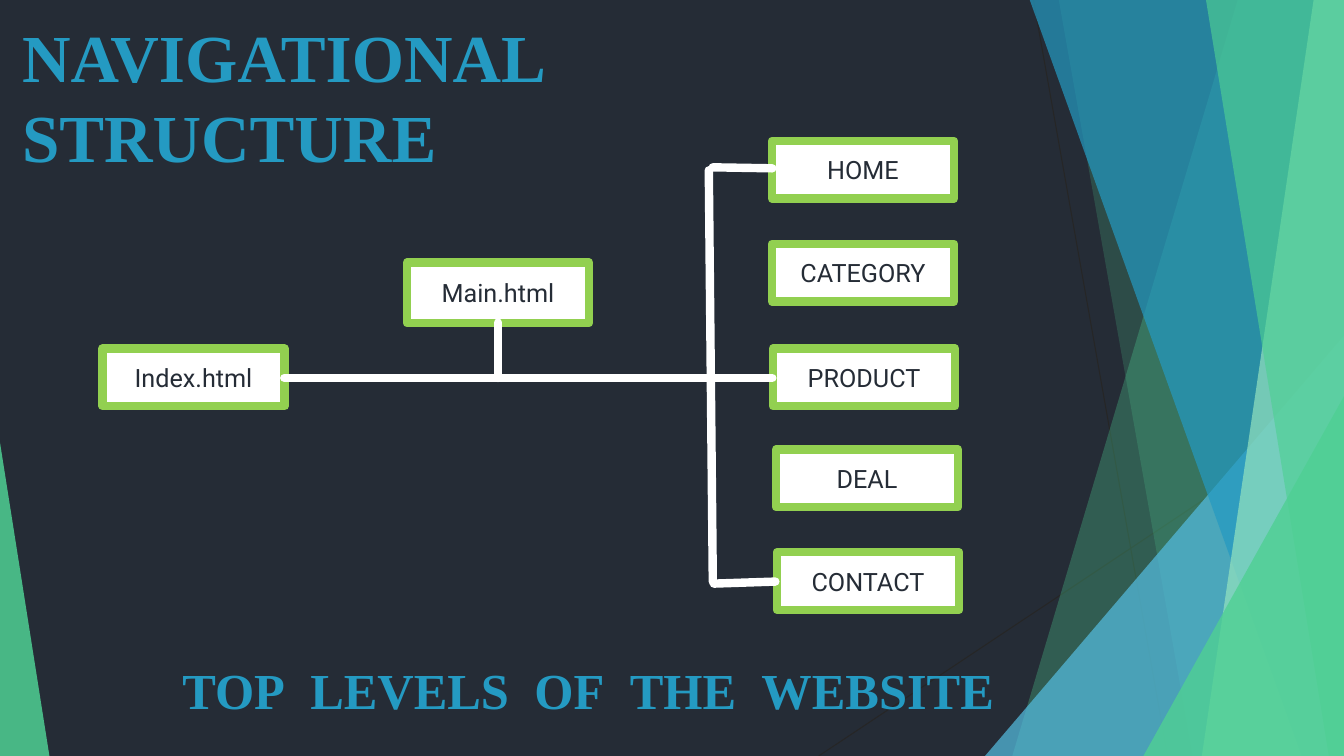
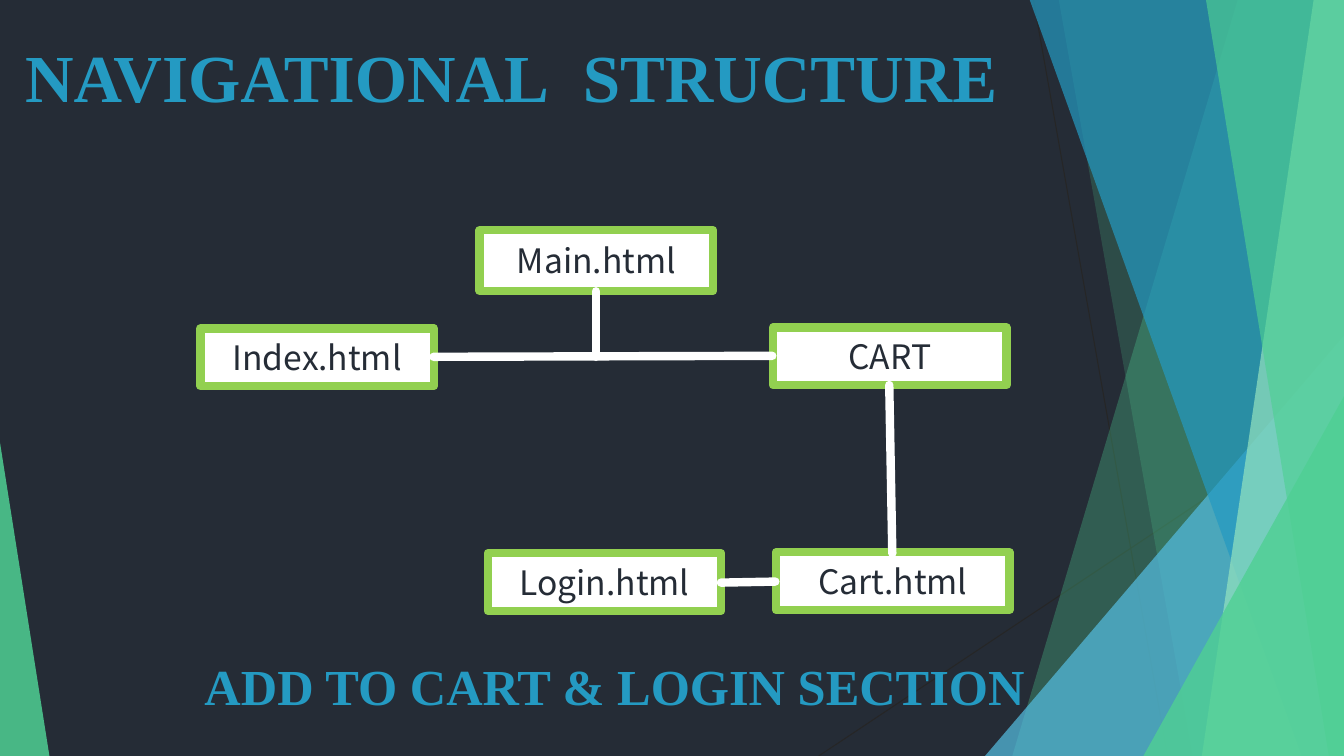
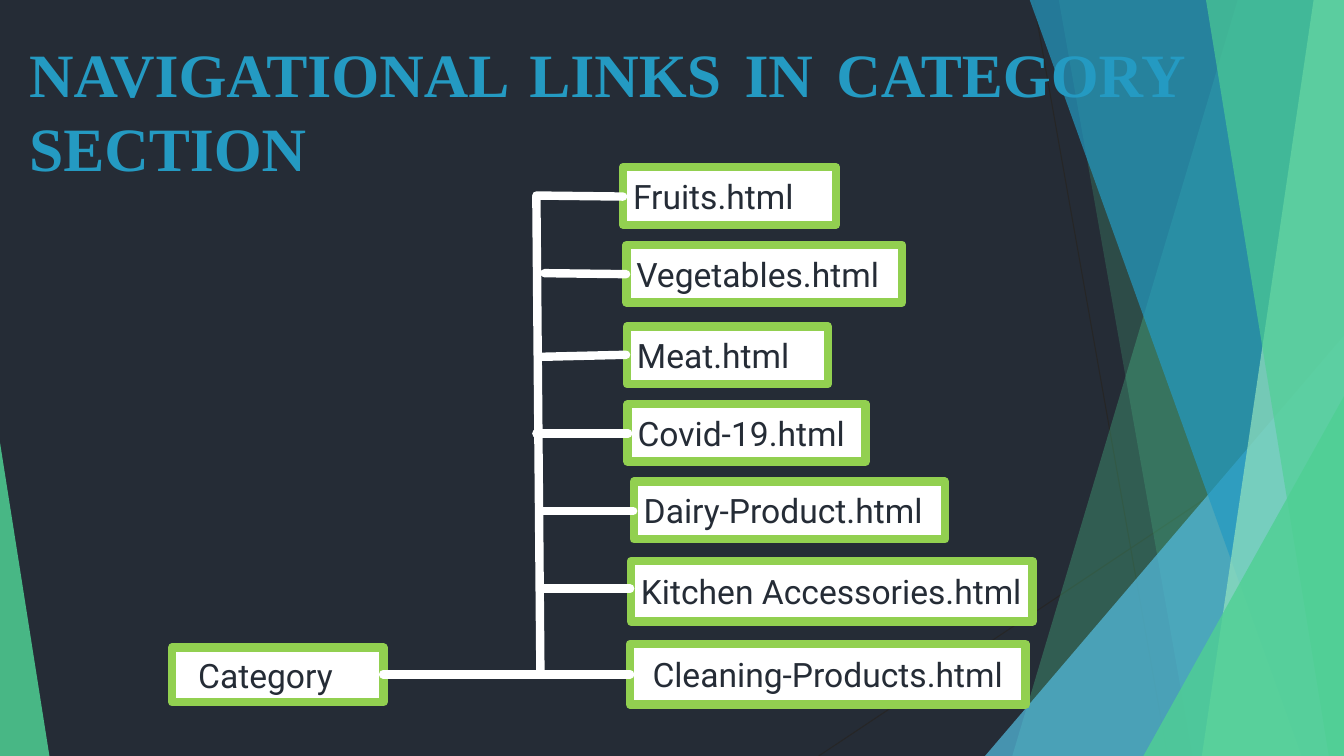
from dataclasses import dataclass

from lxml.etree import SubElement
from pptx import Presentation
from pptx.dml.color import RGBColor
from pptx.enum.shapes import MSO_CONNECTOR, MSO_SHAPE as Preset
from pptx.enum.text import MSO_ANCHOR as Anchor, MSO_AUTO_SIZE as AutoSize, PP_ALIGN as Align
from pptx.oxml.ns import qn
from pptx.util import Pt

PX = 9144  # EMU in one px, 100 px to the inch
WIDTH, HEIGHT = 1333, 750


@dataclass(frozen=True)
class Theme:
    night: str = "252C36"
    white: str = "FFFFFF"
    lime: str = "92D050"
    blue: str = "249AC2"
    sky: str = "54BCDF"
    green: str = "4FD093"
    mint: str = "95E3BE"
    hairline: str = "262626"
    heading_font: str = "Times New Roman"
    node_font: str = "Roboto"
    cart_font: str = "Noto Sans CJK TC"
    title_size: int = 48
    long_title_size: int = 44
    caption_size: int = 36
    node_size: int = 24
    small_node_size: int = 18
    stroke: float = 6
    thin_stroke: float = 0.75
    outline: float = 1.75


THEME = Theme()

# Translucent panels: outline points, colour, opacity in percent
PANELS_BACK = [
    ([(1228, -1), (1333, -1), (1333, 750), (1004, 750)], THEME.green, 30),
    ([(1050, -1), (1333, -1), (1333, 750), (1183, 750)], THEME.green, 20),
]
PANELS_FRONT = [
    ([(1021, -1), (1333, -1), (1333, 750), (1291, 750)], THEME.blue, 70),
    ([(1303, -1), (1333, -1), (1333, 750), (1192, 750)], THEME.mint, 70),
    ([(1196, -1), (1333, -1), (1333, 750), (1318, 750)], THEME.green, 65),
]


def rgb(value):
    return RGBColor.from_string(value)


def write(frame, text, *, size, font, color, bold=False, outline=None,
          align=Align.LEFT, wide_gaps=False, indent=0):
    """Fill the first paragraph; wide_gaps doubles the space between words."""
    para = frame.paragraphs[0]
    para.alignment = align
    if indent:
        para._p.get_or_add_pPr().set("marL", str(indent * PX))
    pieces = text.replace(" ", "| |").split("|") if wide_gaps else [text]
    for piece in pieces:
        span = para.add_run()
        span.text = piece
        span.font.size, span.font.name, span.font.bold = Pt(size), font, bold
        span.font.color.rgb = rgb(color)
        props = span._r.get_or_add_rPr()
        if piece == " ":
            props.set("spc", str(size * 25))
        if outline:
            edge = SubElement(props, qn("a:ln"), w=str(Pt(THEME.outline)))
            paint = SubElement(edge, qn("a:solidFill"))
            SubElement(paint, qn("a:srgbClr"), val=outline)
            props.insert(0, edge)


class Sketch:
    """Holds the deck, its style and the page being drawn."""

    def __init__(self, theme):
        self.theme = theme
        self.deck = Presentation()
        self.deck.slide_width, self.deck.slide_height = WIDTH * PX, HEIGHT * PX
        backdrop = self.deck.slide_master.background.fill
        backdrop.solid()
        backdrop.fore_color.rgb = rgb(theme.night)

    def new_page(self):
        self.shapes = self.deck.slides.add_slide(self.deck.slide_layouts[6]).shapes
        self.decorate()

    def decorate(self):
        look = self.theme
        for ends in [(1025, 0, 1158, 750), (1333, 403, 812, 750)]:
            self.line(*ends, color=look.hairline, weight=look.thin_stroke)
        for panel in PANELS_BACK:
            self.panel(*panel)
        self.triangle(977, 333, 356, 417, 1, look.sky, 72)
        for panel in PANELS_FRONT:
            self.panel(*panel)
        self.triangle(1134, 393, 199, 357, 1, look.green, 80)
        self.triangle(0, 439, 49, 311, 0, look.green, 85)

    def paint(self, shape, color, opacity=100):
        shape.shadow.inherit = False
        shape.fill.solid()
        shape.fill.fore_color.rgb = rgb(color)
        if opacity < 100:
            shape.line.fill.background()
            tint = shape._element.spPr.find(qn("a:solidFill"))[0]
            SubElement(tint, qn("a:alpha"), val=str(opacity * 1000))

    def panel(self, points, color, opacity):
        start, *others = [(x * PX, y * PX) for x, y in points]
        builder = self.shapes.build_freeform(*start)
        builder.add_line_segments(others, close=True)
        self.paint(builder.convert_to_shape(), color, opacity)

    def preset(self, kind, *place):
        return self.shapes.add_shape(kind, *(length * PX for length in place))

    def triangle(self, left, top, width, height, peak, color, opacity):
        shape = self.preset(Preset.ISOSCELES_TRIANGLE, left, top, width, height)
        shape.adjustments[0] = peak
        self.paint(shape, color, opacity)

    def line(self, x1, y1, x2, y2, color=None, weight=None):
        link = self.shapes.add_connector(
            MSO_CONNECTOR.STRAIGHT, x1 * PX, y1 * PX, x2 * PX, y2 * PX)
        link.line.color.rgb = rgb(color or self.theme.white)
        link.line.width = Pt(weight or self.theme.stroke)
        link.line._get_or_add_ln().set("cap", "rnd")
        SubElement(link._element.spPr, qn("a:effectLst"))

    def lines(self, ends):
        for end in ends:
            self.line(*end)

    def node(self, text, left, top, width, height=243, *, size=None, font=None,
             align=Align.CENTER, indent=0):
        """A page of the site: the bar of a minus sign holds its name."""
        box = self.preset(Preset.MATH_MINUS, left, top, width, height)
        self.paint(box, self.theme.white)
        box.line.color.rgb = rgb(self.theme.lime)
        box.line.width = Pt(self.theme.stroke)
        box.text_frame.vertical_anchor = Anchor.MIDDLE
        write(box.text_frame, text, size=size or self.theme.node_size,
              font=font or self.theme.node_font, color=self.theme.night,
              align=align, indent=indent)

    def heading(self, text, left, top, width, height, size, **style):
        box = self.shapes.add_textbox(left * PX, top * PX, width * PX, height * PX)
        box.text_frame.word_wrap = True
        box.text_frame.auto_size = AutoSize.SHAPE_TO_FIT_TEXT
        write(box.text_frame, text, size=size, font=self.theme.heading_font,
              color=self.theme.blue, bold=True, outline=self.theme.lime, **style)


def top_levels(sketch):
    sketch.new_page()
    sketch.heading("NAVIGATIONAL STRUCTURE", 12, 10, 982, 91,
                   THEME.title_size, wide_gaps=True)
    sketch.heading("TOP LEVELS OF THE WEBSITE", 171, 649, 959, 71,
                   THEME.caption_size, wide_gaps=True)
    for text, left, top, height in [
        ("Index.html", 69, 253, 243), ("Main.html", 371, 163, 255),
        ("HOME", 733, 47, 243), ("CATEGORY", 733, 149, 243),
        ("PRODUCT", 734, 253, 243), ("DEAL", 737, 353, 243),
        ("CONTACT", 738, 455, 243),
    ]:
        sketch.node(text, left, top, 246, height, size=THEME.small_node_size)
    sketch.lines([(282, 375, 766, 375), (703, 169, 707, 577), (708, 579, 769, 577),
                  (707, 166, 766, 167), (494, 320, 494, 375)])


def cart_and_login(sketch):
    sketch.new_page()
    sketch.heading("NAVIGATIONAL STRUCTURE", 15, 30, 1042, 91,
                   THEME.title_size, wide_gaps=True)
    sketch.heading("ADD TO CART & LOGIN SECTION", 193, 645, 864, 71, THEME.caption_size)
    for text, left, top, height in [
        ("Index.html", 157, 233, 243), ("Main.html", 434, 131, 255),
        ("CART", 725, 232, 243), ("Cart.html", 728, 455, 243),
        ("Login.html", 442, 456, 243),
    ]:
        sketch.node(text, left, top, 315, height, font=THEME.cart_font)
    sketch.lines([(430, 354, 766, 353), (882, 382, 885, 549),
                  (715, 578, 769, 577), (591, 289, 591, 354)])


def category_links(sketch):
    sketch.new_page()
    sketch.heading("NAVIGATIONAL LINKS IN CATEGORY SECTION", 19, 31, 1166, 158,
                   THEME.long_title_size, align=Align.JUSTIFY)
    for text, *place in [
        ("Fruits.html", 580, 73, 287), ("Vegetables.html", 572, 150, 372),
        ("Meat.html", 586, 231, 271), ("Covid-19.html", 580, 308, 321),
        ("Dairy-Product.html", 573, 385, 420),
        ("Kitchen Accessories.html", 554, 459, 542, 255),
    ]:
        sketch.node(text, *place, align=Align.JUSTIFY)
    sketch.node("Cleaning-Products.html", 554, 541, 534, 256)
    sketch.node("Category", 133, 554, 285, 231, align=Align.JUSTIFY, indent=16)
    # Trunk, then one branch to each page
    sketch.lines([(532, 195, 536, 669), (380, 669, 625, 669), (532, 194, 618, 195),
                  (540, 271, 621, 272), (537, 354, 621, 352), (532, 430, 623, 430),
                  (538, 507, 628, 507), (538, 584, 625, 584)])


def main():
    sketch = Sketch(THEME)
    for build in (top_levels, cart_and_login, category_links):
        build(sketch)
    sketch.deck.save("out.pptx")


if __name__ == "__main__":
    main()
